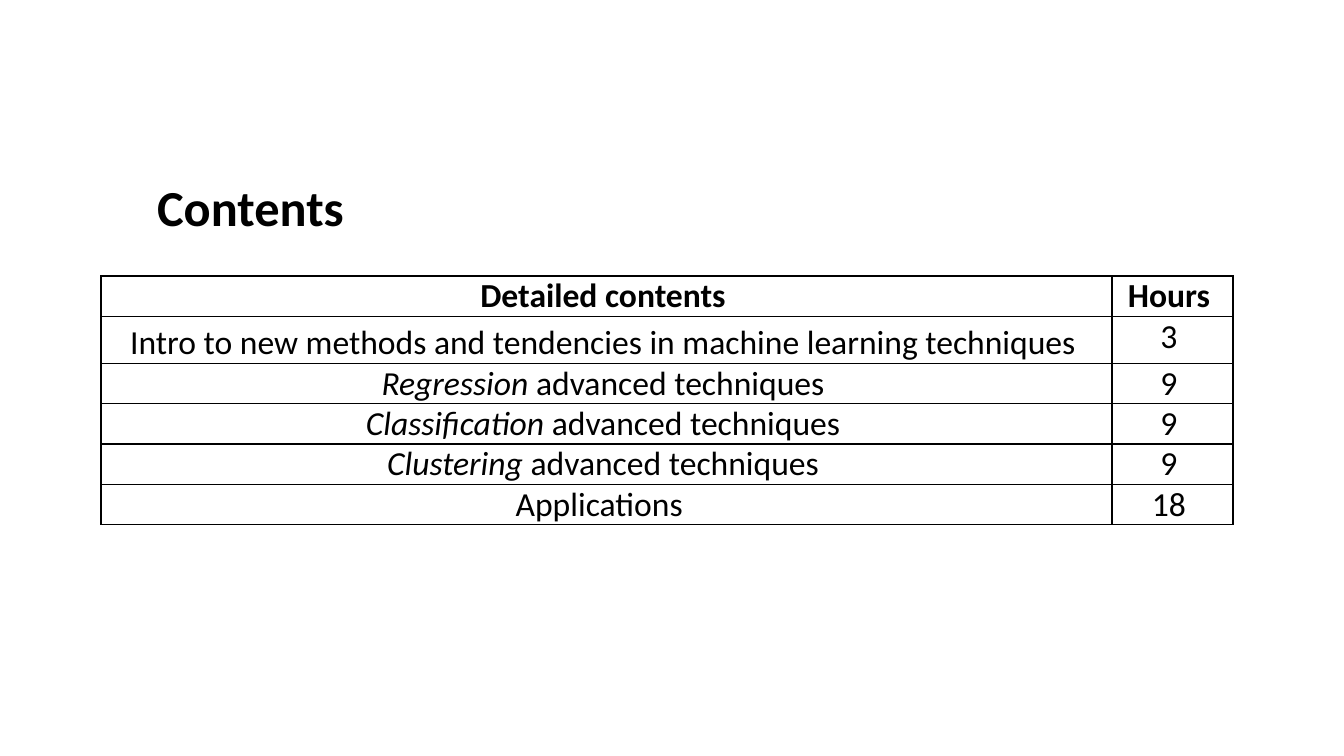
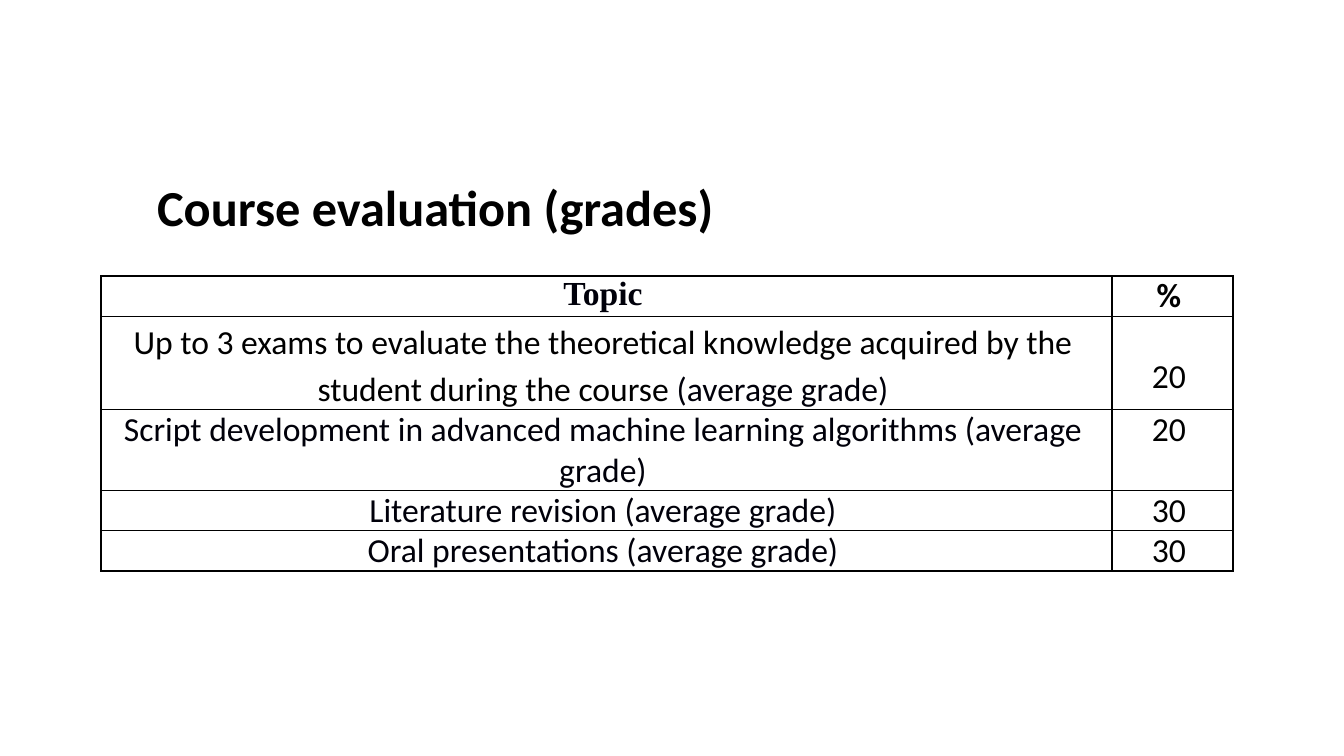
from dataclasses import dataclass

from lxml import etree
from pptx import Presentation
from pptx.dml.color import RGBColor
from pptx.enum.text import MSO_ANCHOR, MSO_AUTO_SIZE, PP_ALIGN
from pptx.oxml.ns import qn
from pptx.util import Emu, Pt

LEFT, CENTER = PP_ALIGN.LEFT, PP_ALIGN.CENTER
TOP = MSO_ANCHOR.TOP
GROW = MSO_AUTO_SIZE.SHAPE_TO_FIT_TEXT
TITLE_ONLY = 5


@dataclass(frozen=True)
class Theme:
    black: str = "000000"
    ink: str = "00000A"
    font: str = "Calibri"
    serif: str = "Times New Roman"
    title_size: int = 36
    table_size: int = 24
    border: int = 1


@dataclass(frozen=True)
class Span:
    text: str
    bold: bool = False
    italic: bool = False
    color: str = Theme.black
    font: str = Theme.font


@dataclass(frozen=True)
class Cell:
    spans: tuple
    line_spacing: float = 1.0
    top: int = 0


def px(length):
    return Emu(round(length * 914400 / 100.8))


def add_span(para, span, size):
    run = para.add_run()
    run.text = span.text
    run.font.name = span.font
    run.font.size = Pt(size)
    run.font.bold = span.bold
    run.font.italic = span.italic
    run.font.color.rgb = RGBColor.from_string(span.color)


def place_title(page, text, box):
    title = page.shapes.title
    title.left, title.top, title.width, title.height = map(px, box)
    frame = title.text_frame
    frame.word_wrap = False
    frame.auto_size = GROW
    frame.vertical_anchor = TOP
    para = frame.paragraphs[0]
    para.alignment = LEFT
    add_span(para, Span(text, bold=True), Theme.title_size)


def outline_cell(cell):
    properties = cell._tc.get_or_add_tcPr()
    for side in ("lnL", "lnR", "lnT", "lnB"):
        line = etree.SubElement(properties, qn(f"a:{side}"), w=str(Pt(Theme.border)))
        fill = etree.SubElement(line, qn("a:solidFill"))
        etree.SubElement(fill, qn("a:srgbClr"), val=Theme.black)
    cell.fill.background()


def fill_cell(cell, content):
    outline_cell(cell)
    cell.margin_left = cell.margin_bottom = 0
    cell.margin_right = px(7)
    cell.margin_top = px(content.top)
    cell.vertical_anchor = TOP
    para = cell.text_frame.paragraphs[0]
    para.alignment = CENTER
    para.line_spacing = content.line_spacing
    for span in content.spans:
        add_span(para, span, Theme.table_size)


def place_table(page, rows, heights, left, top, widths):
    frame = page.shapes.add_table(
        len(rows), len(widths), px(left), px(top), px(sum(widths)), px(sum(heights)))
    table = frame.table
    table.first_row = table.horz_banding = False
    for column, width in zip(table.columns, widths):
        column.width = px(width)
    for row, height, contents in zip(table.rows, heights, rows):
        row.height = px(height)
        for cell, content in zip(row.cells, contents):
            fill_cell(cell, content)


def add_table_page(deck, title, title_width, rows, heights):
    page = deck.slides.add_slide(deck.slide_layouts[TITLE_ONLY])
    place_title(page, title, (147, 171, title_width, 72))
    place_table(page, rows, heights, 101, 276, (1011, 121))


def plain(text, **style):
    return Cell((Span(text, **style),))


def technique_row(name, hours):
    return Cell((Span(name, italic=True), Span(" advanced techniques"))), plain(hours)


def grade_row(topic, percent):
    return plain(f"{topic} (average grade)", color=Theme.ink), plain(percent)


def main():
    deck = Presentation()
    deck.slide_width, deck.slide_height = px(1344), px(756)

    intro = Span("Intro to new methods and tendencies in machine learning techniques")
    contents = [
        (plain("Detailed contents", bold=True), plain("Hours", bold=True)),
        (Cell((intro,), line_spacing=1.15), plain("3")),
        technique_row("Regression", "9"),
        technique_row("Classification", "9"),
        technique_row("Clustering", "9"),
        (plain("Applications "), plain("18")),
    ]
    add_table_page(deck, "Contents", 209, contents, (40, 47, 40, 40, 40, 40))

    exams = (
        Span("Up to 3 exams to evaluate the theoretical knowledge acquired "
             "by the student during the course "),
        Span("(average grade)", color=Theme.ink),
    )
    grades = [
        (plain("Topic", bold=True, color=Theme.ink, font=Theme.serif),
         plain("%", bold=True)),
        (Cell(exams, line_spacing=1.15), Cell((Span("20"),), top=40)),
        grade_row("Script development in advanced machine learning algorithms", "20"),
        grade_row("Literature revision", "30"),
        grade_row("Oral presentations", "30"),
    ]
    add_table_page(deck, "Course evaluation (grades)", 584, grades, (40, 93, 81, 40, 40))

    deck.save("out.pptx")


if __name__ == "__main__":
    main()
